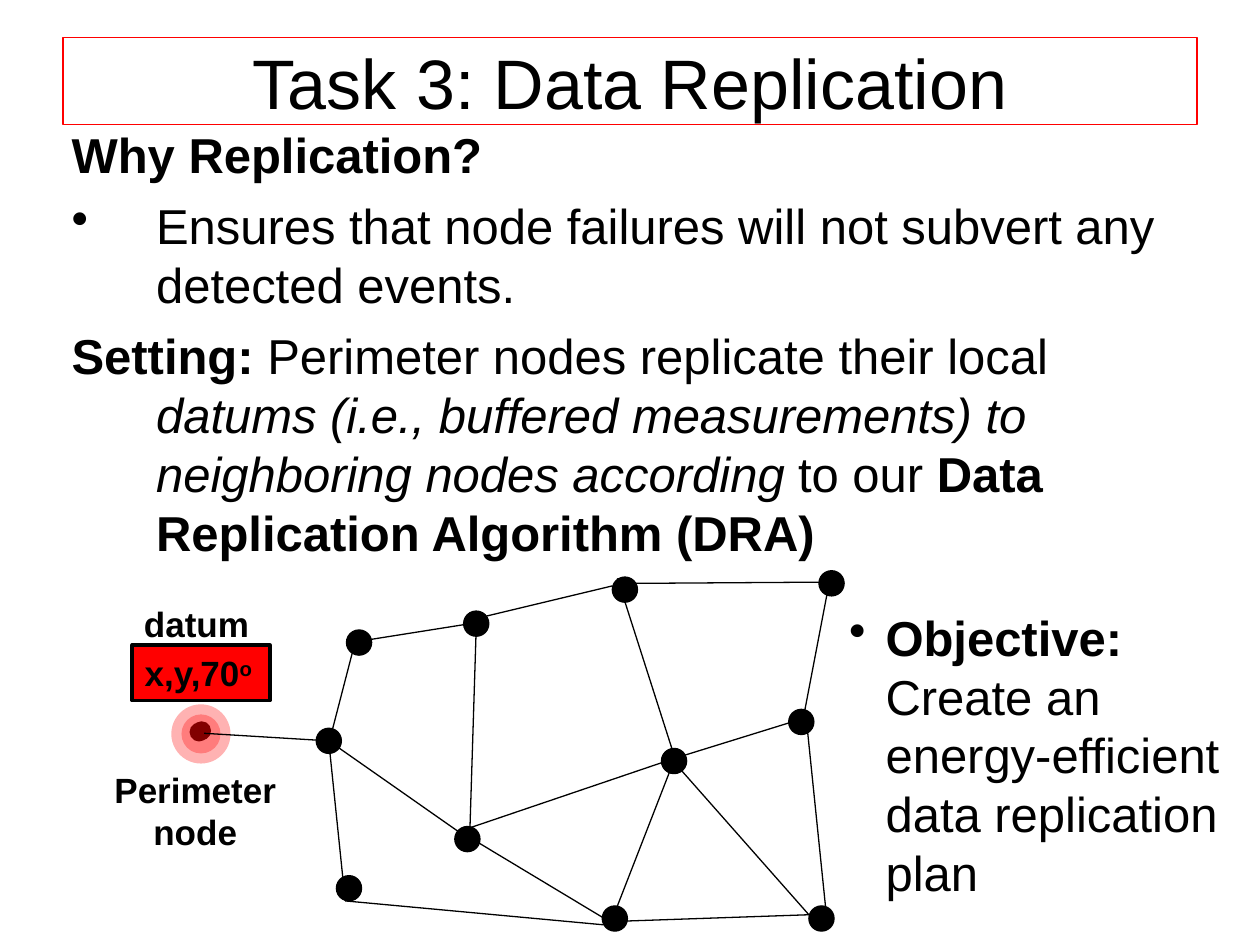
from dataclasses import dataclass

from lxml import etree
from pptx import Presentation
from pptx import util as u
from pptx.dml.color import RGBColor
from pptx.enum import shapes, text
from pptx.oxml.ns import qn


@dataclass(frozen=True)
class Theme:
    font: str = "Arial"
    black: RGBColor = RGBColor(0, 0, 0)
    red: RGBColor = RGBColor(255, 0, 0)
    title: int = 40
    body: int = 28
    label: int = 20
    thin: float = 0.75
    thick: float = 2.25
    halo_opacity: int = 30


THEME = Theme()
NODE_SIZE = 0.2

# Top left corner of each network node
NODES = [
    (2.75, 5), (5.25, 5.94), (2.51, 5.78), (2.67, 6.95), (3.68, 4.85),
    (3.61, 6.56), (4.86, 4.58), (4.78, 7.19), (6.26, 5.63), (6.42, 7.19),
    (6.5, 4.53),
]

# Start and end point of each network link
LINKS = [
    ((2.91, 5.08), (3.73, 4.95)), ((1.62, 5.82), (2.61, 5.88)),
    ((2.74, 7.15), (2.61, 5.89)), ((3.71, 6.65), (2.61, 5.88)),
    ((2.61, 5.9), (2.82, 5.09)), ((3.73, 6.57), (3.78, 4.97)),
    ((3.86, 4.89), (4.86, 4.65)), ((4.93, 7.37), (3.8, 6.69)),
    ((4.9, 7.19), (5.34, 6.06)), ((5.39, 6.12), (4.9, 4.59)),
    ((4.79, 7.34), (2.74, 7.15)), ((6.42, 7.26), (5.36, 6.06)),
    ((6.57, 7.37), (6.41, 5.81)), ((6.6, 4.62), (5.04, 4.63)),
    ((6.37, 5.73), (6.58, 4.63)), ((6.35, 5.71), (5.35, 6.02)),
    ((3.73, 6.57), (5.35, 6.02)), ((4.97, 7.31), (6.42, 7.26)),
]


def add_paragraph(frame, runs, size, first=False, align=text.PP_ALIGN.LEFT,
                  indent=0, bullet=False):
    """Add a paragraph of (text, style) runs; b, i and s mark the style."""
    paragraph = frame.paragraphs[0] if first else frame.add_paragraph()
    paragraph.alignment = align
    paragraph.space_before = u.Pt(0 if first else 7)
    properties = paragraph._p.get_or_add_pPr()
    if indent:
        properties.set("marL", str(u.Inches(indent)))
        properties.set("indent", str(-u.Inches(indent)))
    if bullet:
        etree.SubElement(properties, qn("a:buChar")).set("char", "•")
    for words, style in runs:
        run = paragraph.add_run()
        run.text = words
        run.font.name = THEME.font
        run.font.size = u.Pt(size)
        run.font.color.rgb = THEME.black
        run.font.bold = "b" in style
        run.font.italic = "i" in style
        if "s" in style:
            run.font._element.set("baseline", "30000")


def add_text_box(slide, box):
    frame = slide.shapes.add_textbox(*map(u.Inches, box)).text_frame
    frame.word_wrap = True
    return frame


def add_box(slide, box, line, width, fill=None):
    shape = slide.shapes.add_shape(shapes.MSO_SHAPE.RECTANGLE,
                                   *map(u.Inches, box))
    shape.shadow.inherit = False
    if fill is None:
        shape.fill.background()
    else:
        shape.fill.solid()
        shape.fill.fore_color.rgb = fill
    shape.line.color.rgb = line
    shape.line.width = u.Pt(width)
    frame = shape.text_frame
    frame.word_wrap = True
    frame.vertical_anchor = text.MSO_ANCHOR.MIDDLE
    return frame


def add_circle(slide, left, top, size, color, opacity=None):
    shape = slide.shapes.add_shape(
        shapes.MSO_SHAPE.OVAL, *map(u.Inches, (left, top, size, size)))
    shape.shadow.inherit = False
    shape.fill.solid()
    shape.fill.fore_color.rgb = color
    if opacity is None:
        shape.line.color.rgb = color
        shape.line.width = u.Pt(THEME.thin)
    else:
        shape.line.fill.background()
        color_element = shape._element.spPr.find(".//" + qn("a:srgbClr"))
        alpha = etree.SubElement(color_element, qn("a:alpha"))
        alpha.set("val", str(opacity * 1000))


def add_link(slide, start, end):
    connector = slide.shapes.add_connector(
        shapes.MSO_CONNECTOR.STRAIGHT, *map(u.Inches, start + end))
    connector.line.color.rgb = THEME.black
    connector.line.width = u.Pt(THEME.thin)
    etree.SubElement(connector._element.spPr, qn("a:effectLst"))


def add_network(slide):
    # Perimeter node with its two halos
    for left, top in ((1.51, 5.74), (1.53, 5.73)):
        add_circle(slide, left, top, 0.14, THEME.black)
    for left, top, size in ((1.36, 5.59, 0.47), (1.44, 5.67, 0.31)):
        add_circle(slide, left, top, size, THEME.red, THEME.halo_opacity)
    # Inner nodes and links
    for left, top in NODES:
        add_circle(slide, left, top, NODE_SIZE, THEME.black)
    for start, end in LINKS:
        add_link(slide, start, end)


def main():
    presentation = Presentation()
    presentation.slide_width = u.Inches(10)
    presentation.slide_height = u.Inches(7.5)
    slide = presentation.slides.add_slide(presentation.slide_layouts[6])
    center = text.PP_ALIGN.CENTER

    # Title
    title = add_box(slide, (0.5, 0.3, 9, 0.69), THEME.red, THEME.thin)
    add_paragraph(title, [("Task 3: Data Replication", "")], THEME.title,
                  first=True, align=center)

    # Motivation and setting
    body = add_text_box(slide, (0.47, 0.94, 9.29, 3.15))
    add_paragraph(body, [("Why Replication?", "b")], THEME.body,
                  first=True, indent=0.67)
    add_paragraph(body, [("Ensures that node failures will not subvert any "
                          "detected events.", "")], THEME.body,
                  indent=0.67, bullet=True)
    add_paragraph(body, [
        ("Setting: ", "b"),
        ("Perimeter nodes replicate their local ", ""),
        ("datums (i.e., buffered measurements) to neighboring nodes "
         "according ", "i"),
        ("to our ", ""),
        ("Data Replication Algorithm (DRA)", "b"),
    ], THEME.body, indent=0.67)

    # Sensor network
    add_network(slide)

    # Datum and perimeter node labels
    for words, box in (("Perimeter node", (0.65, 6.05, 1.8, 0.77)),
                       ("datum", (0.66, 4.73, 1.8, 0.44))):
        add_paragraph(add_text_box(slide, box), [(words, "b")], THEME.label,
                      first=True, align=center)
    datum = add_box(slide, (1.05, 5.12, 1.09, 0.44), THEME.black,
                    THEME.thick, fill=THEME.red)
    add_paragraph(datum, [("x,y,70", "b"), ("o", "bs")], THEME.label,
                  first=True)

    # Objective
    objective = add_text_box(slide, (6.64, 4.77, 3.36, 2.44))
    add_paragraph(objective, [
        ("Objective: ", "b"),
        ("Create an energy-efficient data replication plan", ""),
    ], THEME.body, first=True, indent=0.29, bullet=True)

    presentation.save("out.pptx")


if __name__ == "__main__":
    main()
